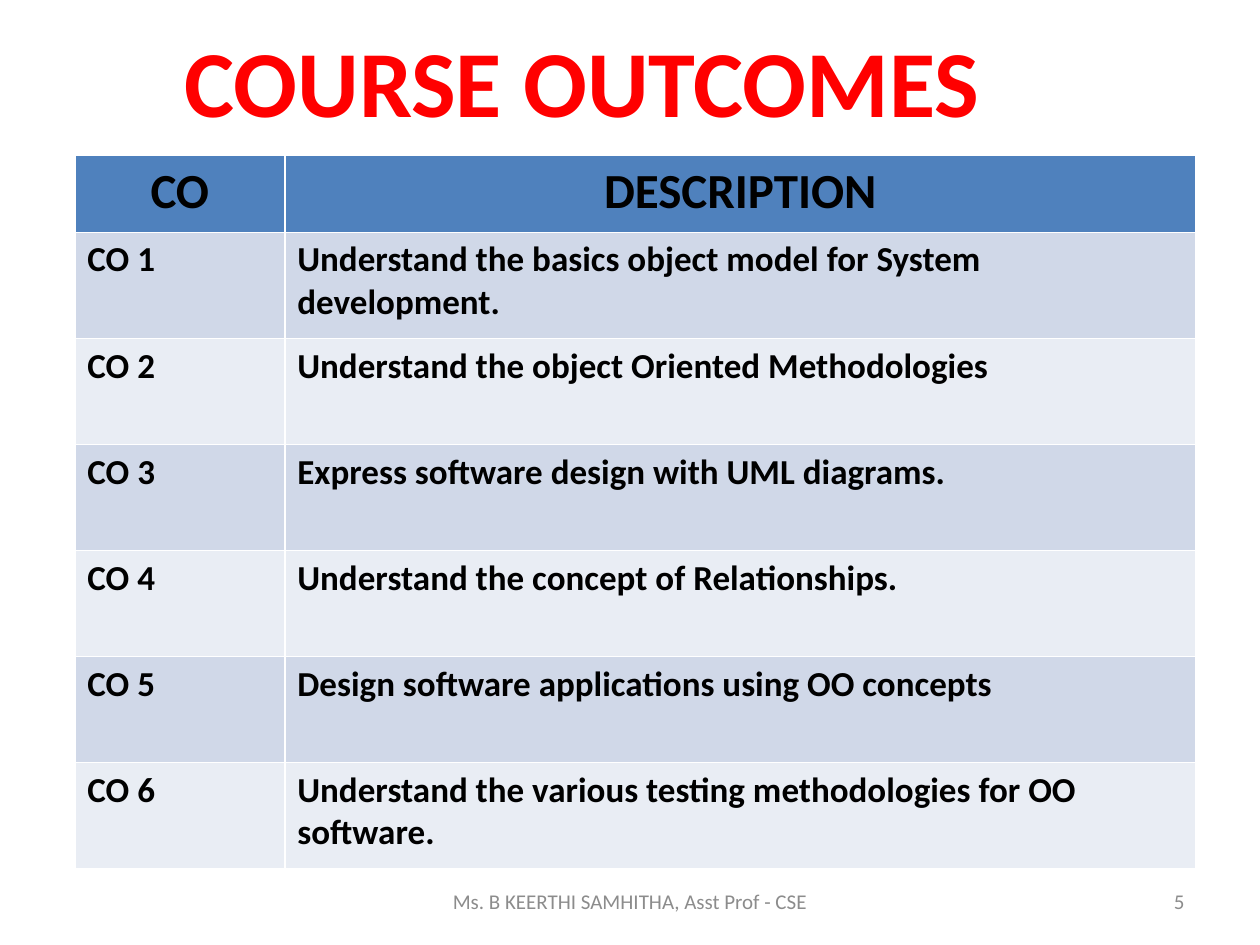
from pptx import Presentation
from pptx.dml.color import RGBColor
from pptx.enum.text import MSO_ANCHOR, PP_ALIGN
from pptx.util import Pt

FONT = "Calibri"
COLORS = {
    "title": "FF0000",
    "text": "000000",
    "footer": "8C8C8C",
    "header_fill": "4F81BD",
    "odd_fill": "D0D8E8",
    "even_fill": "E9EDF4",
}
OUTCOMES = [
    "Understand the basics object model for System development.",
    "Understand the object Oriented Methodologies",
    "Express software design with UML diagrams.",
    "Understand the concept of Relationships.",
    "Design software applications using OO concepts",
    "Understand the various testing methodologies for OO software.",
]


def style_paragraph(paragraph, size, color, bold, alignment):
    paragraph.alignment = alignment
    paragraph.font.name = FONT
    paragraph.font.size = Pt(size)
    paragraph.font.bold = bold
    paragraph.font.color.rgb = RGBColor.from_string(COLORS[color])


def add_label(slide, box, text, size, color, bold=False, alignment=PP_ALIGN.CENTER):
    left, top, width, height = box
    label = slide.shapes.add_textbox(Pt(left), Pt(top), Pt(width), Pt(height))
    frame = label.text_frame
    frame.word_wrap = True
    frame.vertical_anchor = MSO_ANCHOR.MIDDLE
    frame.text = text
    style_paragraph(frame.paragraphs[0], size, color, bold, alignment)


def fill_cell(cell, text, size, fill, alignment):
    cell.fill.solid()
    cell.fill.fore_color.rgb = RGBColor.from_string(COLORS[fill])
    cell.text = text
    style_paragraph(cell.text_frame.paragraphs[0], size, "text", True, alignment)


def add_outcomes_table(slide, box, code_width=120, header_height=44):
    """The default table style supplies the white rules between cells."""
    left, top, width, height = box
    rows = [("CO", "DESCRIPTION")]
    rows += [(f"CO {number}", text) for number, text in enumerate(OUTCOMES, 1)]
    table = slide.shapes.add_table(
        len(rows), 2, Pt(left), Pt(top), Pt(width), Pt(height)
    ).table
    table.columns[0].width = Pt(code_width)
    table.columns[1].width = Pt(width - code_width)
    body_height = (height - header_height) / len(OUTCOMES)

    for index, texts in enumerate(rows):
        if index == 0:
            row_height, size, fill, alignment = (
                header_height, 28, "header_fill", PP_ALIGN.CENTER)
        else:
            fill = "odd_fill" if index % 2 else "even_fill"
            row_height, size, alignment = body_height, 20, PP_ALIGN.LEFT
        table.rows[index].height = Pt(row_height)
        for column, text in enumerate(texts):
            fill_cell(table.cell(index, column), text, size, fill, alignment)


def main():
    presentation = Presentation()
    presentation.slide_width = Pt(720)
    presentation.slide_height = Pt(540)
    slide = presentation.slides.add_slide(presentation.slide_layouts[6])

    add_label(slide, (246, 500.5, 228, 28.75),
              "Ms. B KEERTHI SAMHITHA, Asst Prof - CSE", 12, "footer")
    add_label(slide, (516, 500.5, 168, 28.75), "5", 12, "footer",
              alignment=PP_ALIGN.RIGHT)
    add_label(slide, (8.5, 9.5, 648, 72.5), "COURSE OUTCOMES", 54, "title", bold=True)
    add_outcomes_table(slide, (42.75, 88.75, 640.5, 407.6))

    presentation.save("out.pptx")


if __name__ == "__main__":
    main()
